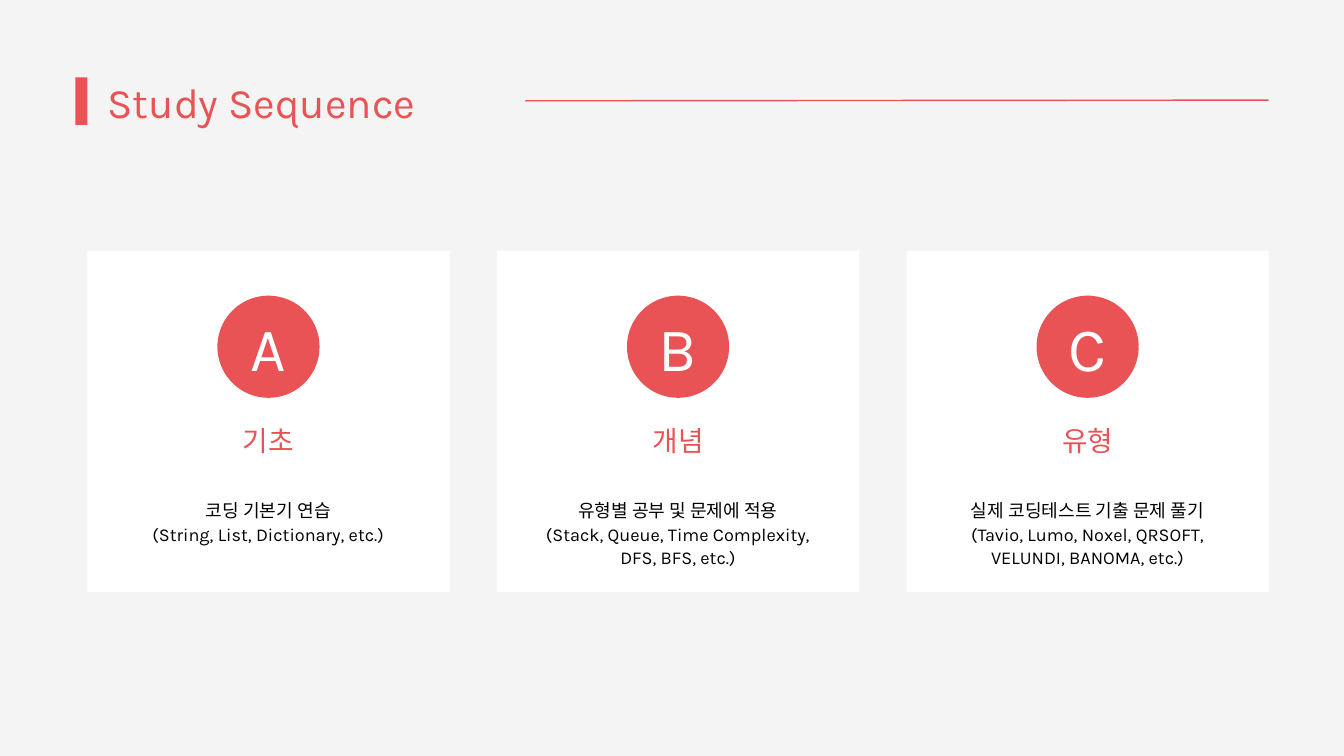
"""Builds the "Study Sequence" slide with three lettered cards."""
from pptx import Presentation
from pptx.dml.color import RGBColor
from pptx.enum.shapes import MSO_CONNECTOR, MSO_SHAPE
from pptx.enum.text import MSO_AUTO_SIZE, PP_ALIGN
from pptx.oxml.ns import qn
from pptx.util import Inches, Pt
from lxml import etree

RECT, OVAL = MSO_SHAPE.RECTANGLE, MSO_SHAPE.OVAL
STRAIGHT = MSO_CONNECTOR.STRAIGHT
LEFT, CENTER = PP_ALIGN.LEFT, PP_ALIGN.CENTER
NO_AUTOFIT = MSO_AUTO_SIZE.NONE

COLORS = {"bg": "F4F4F4", "red": "EA5355", "white": "FFFFFF", "black": "000000"}
LATIN, KOREAN = "Karla", "Calibri"

CARD_LEFT, CARD_TOP, CARD_W, CARD_H = 1.3, 3.73, 5.39, 5.08
RIGHT_EDGE = 18.88
CIRCLE = 1.52
CARDS = [
    ("A", "기초", "코딩 기본기 연습", "(String, List, Dictionary, etc.)", 4.46, 0.7),
    ("B", "개념", "유형별 공부 및 문제에 적용",
     "(Stack, Queue, Time Complexity, DFS, BFS, etc.)", 4.28, 1.05),
    ("C", "유형", "실제 코딩테스트 기출 문제 풀기",
     "(Tavio, Lumo, Noxel, QRSOFT, VELUNDI, BANOMA, etc.)", 3.93, 1.05),
]


def rgb(name):
    return RGBColor.from_string(COLORS[name])


def add_block(s, kind, x, y, w, h, color):
    sp = s.shapes.add_shape(kind, Inches(x), Inches(y), Inches(w), Inches(h))
    sp.shadow.inherit = False
    sp.fill.solid()
    sp.fill.fore_color.rgb = rgb(color)
    sp.line.fill.background()


def add_text(s, x, y, w, h, lines, size, spacing, color, align=CENTER):
    box = s.shapes.add_textbox(Inches(x), Inches(y), Inches(w), Inches(h))
    tf = box.text_frame
    tf.word_wrap = True
    tf.auto_size = NO_AUTOFIT
    tf.margin_left = tf.margin_right = tf.margin_top = tf.margin_bottom = 0
    tf.text = "\n".join(text for text, _ in lines)
    for p, (_, font) in zip(tf.paragraphs, lines):
        p.alignment = align
        p.line_spacing = Pt(spacing)
        for r in p.runs:
            r.font.name = font
            r.font.size = Pt(size)
            r.font.color.rgb = rgb(color)


def add_rule(s, x1, y1, x2, y2):
    line = s.shapes.add_connector(STRAIGHT, Inches(x1), Inches(y1), Inches(x2), Inches(y2))
    line.line.color.rgb = rgb("red")
    line.line.width = Pt(1.5)
    etree.SubElement(line._element.spPr, qn("a:effectLst"))


def add_header(s):
    add_block(s, RECT, 1.12, 1.15, 0.18, 0.71, "red")
    add_text(s, 1.6, 1.08, 5.27, 0.79, [("Study Sequence", LATIN)], 45, 58.5, "red", LEFT)
    add_rule(s, 7.82, 1.5, RIGHT_EDGE, 1.49)


def add_card(s, x, letter, heading, topic, examples, body_w, body_h):
    mid = x + CARD_W / 2
    add_block(s, RECT, x, CARD_TOP, CARD_W, CARD_H, "white")
    add_block(s, OVAL, mid - CIRCLE / 2, 4.4, CIRCLE, CIRCLE, "red")
    add_text(s, mid - 0.735, 4.51, 1.47, 1.15, [(letter, LATIN)], 66.2, 86.1, "white")
    add_text(s, mid - 0.54, 6.26, 1.08, 0.53, [(heading, KOREAN)], 29.8, 38.7, "red")
    add_text(s, mid - body_w / 2, 7.41, body_w, body_h,
             [(topic, KOREAN), (examples, LATIN)], 19.4, 25.2, "black")


def main():
    prs = Presentation()
    prs.slide_width, prs.slide_height = Inches(20), Inches(11.25)
    s = prs.slides.add_slide(prs.slide_layouts[6])
    s.background.fill.solid()
    s.background.fill.fore_color.rgb = rgb("bg")
    add_header(s)
    pitch = (RIGHT_EDGE - CARD_W - CARD_LEFT) / (len(CARDS) - 1)
    for i, card in enumerate(CARDS):
        add_card(s, CARD_LEFT + i * pitch, *card)
    prs.save("out.pptx")


if __name__ == "__main__":
    main()
